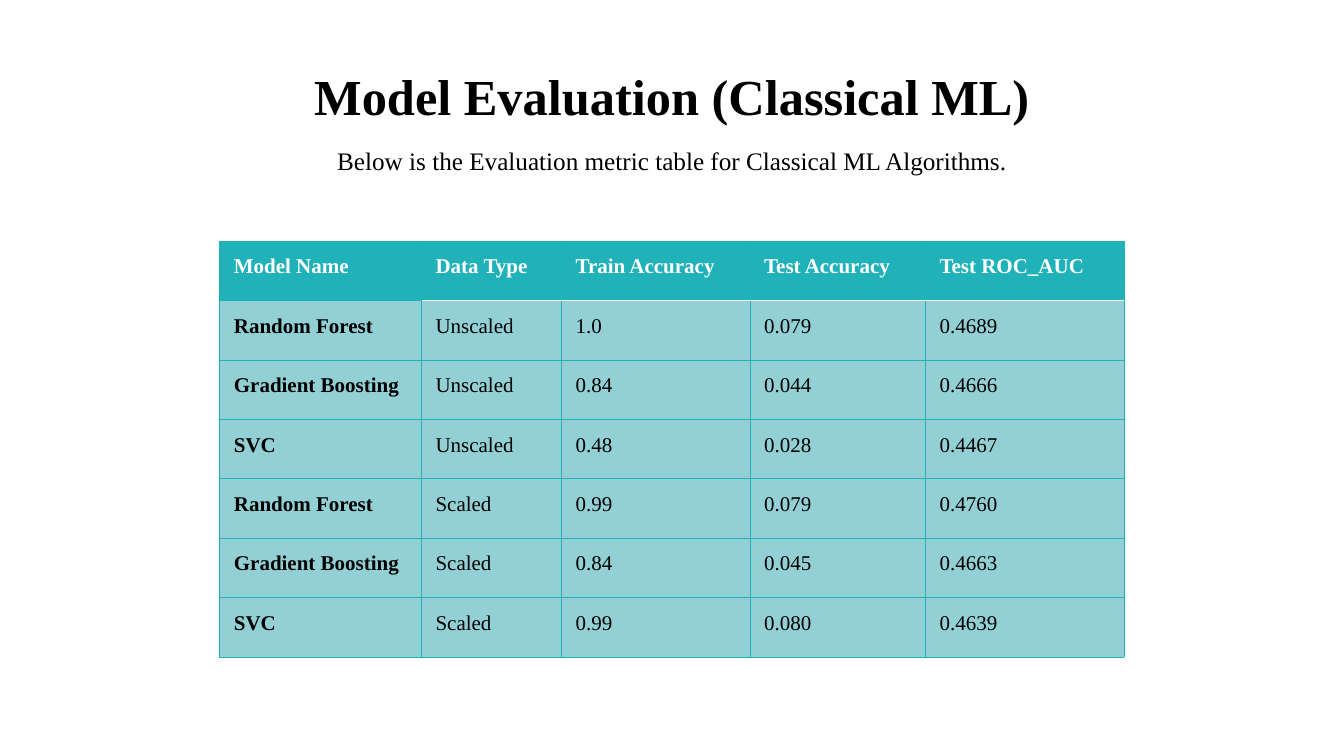
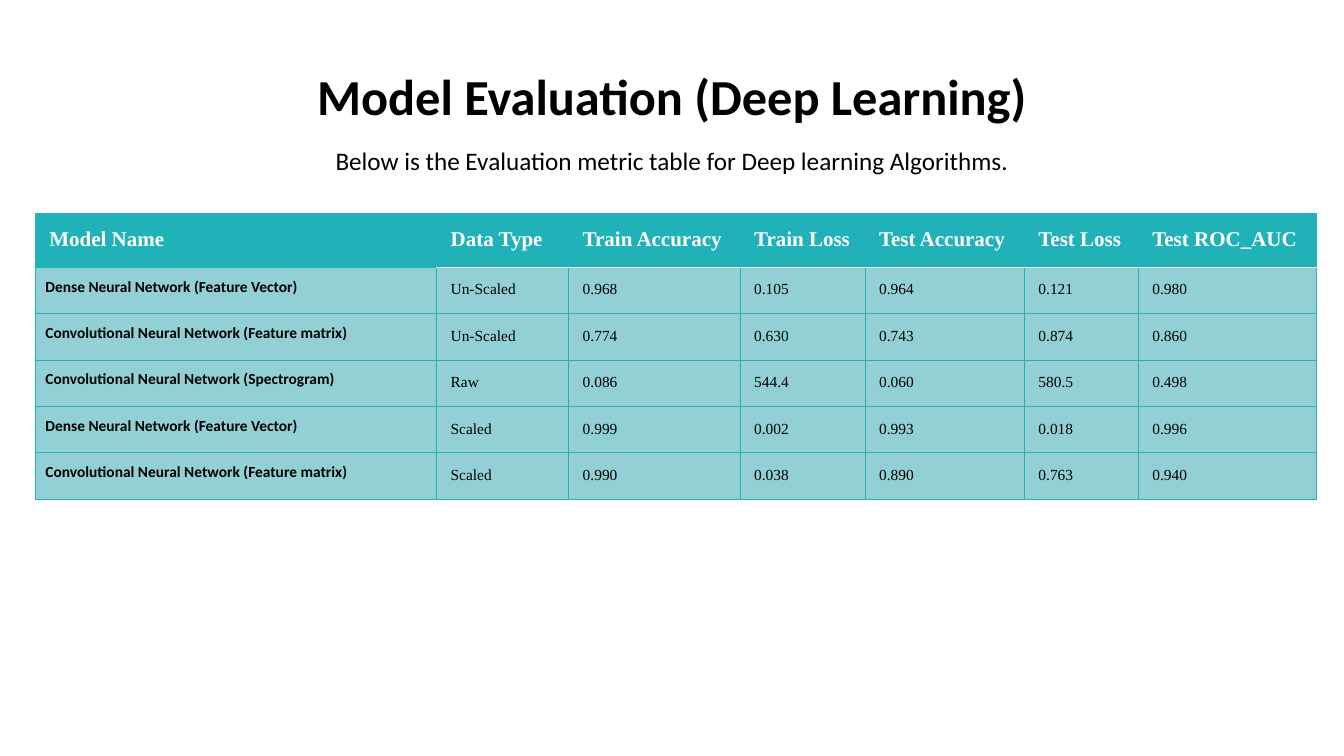
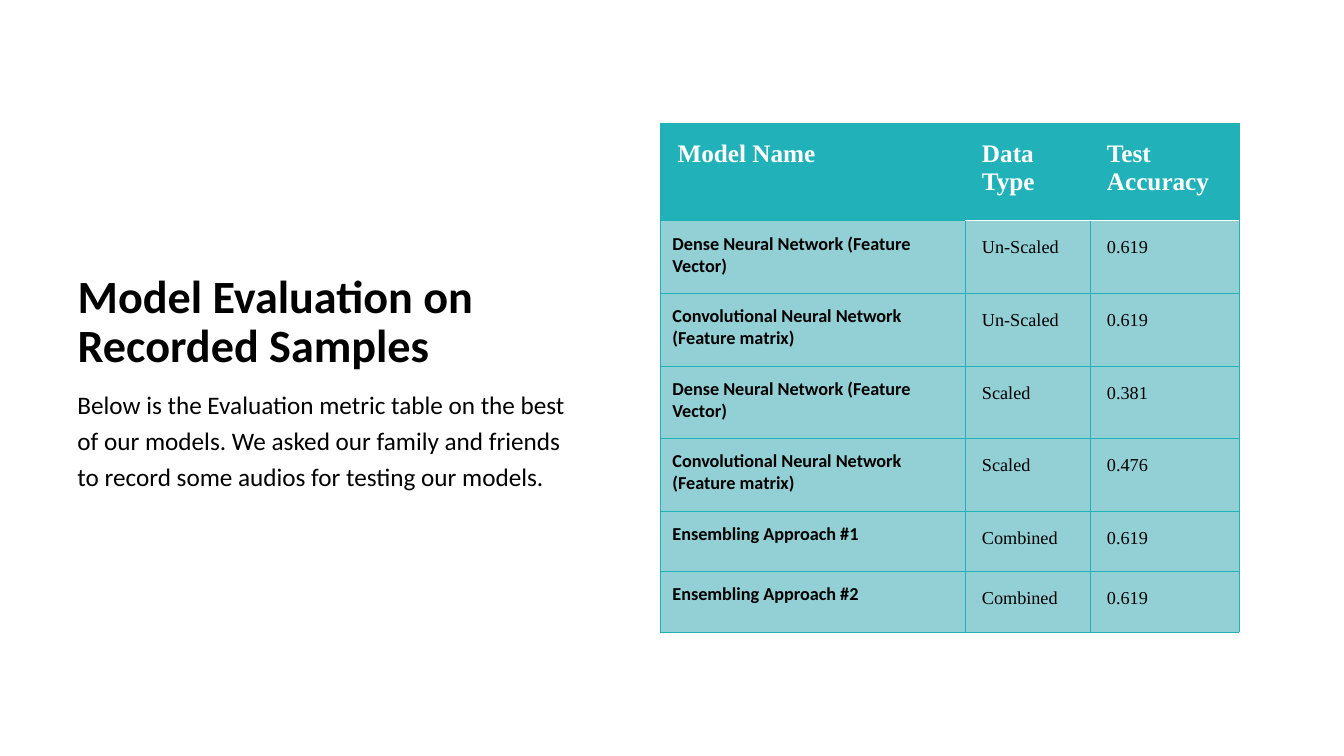
import pptx
import pptx.dml.color
import pptx.enum.text
import pptx.oxml
import pptx.oxml.ns
import pptx.util

PX = 9144  # 100 px to the inch
COLOURS = {"text": "000000", "teal": "21B2B9", "pale": "92D0D5", "white": "FFFFFF"}
SERIF = "Times New Roman"
SANS = "Calibri"
LEFT = pptx.enum.text.PP_ALIGN.LEFT
CENTRE = pptx.enum.text.PP_ALIGN.CENTER
TOP = pptx.enum.text.MSO_ANCHOR.TOP
BOTTOM = pptx.enum.text.MSO_ANCHOR.BOTTOM

DENSE = "Dense Neural Network (Feature Vector)"
CONV_MATRIX = "Convolutional Neural Network (Feature matrix)"
CONV_SPECTROGRAM = "Convolutional Neural Network (Spectrogram)"

CLASSICAL_ROWS = [
    ["Model Name", "Data Type", "Train Accuracy", "Test Accuracy", "Test ROC_AUC"],
    ["Random Forest", "Unscaled", "1.0", "0.079", "0.4689"],
    ["Gradient Boosting", "Unscaled", "0.84", "0.044", "0.4666"],
    ["SVC", "Unscaled", "0.48", "0.028", "0.4467"],
    ["Random Forest", "Scaled", "0.99", "0.079", "0.4760"],
    ["Gradient Boosting", "Scaled", "0.84", "0.045", "0.4663"],
    ["SVC", "Scaled", "0.99", "0.080", "0.4639"],
]
DEEP_ROWS = [
    ["Model Name", "Data Type", "Train Accuracy", "Train Loss",
     "Test Accuracy", "Test Loss", "Test ROC_AUC"],
    [DENSE, "Un-Scaled", "0.968", "0.105", "0.964", "0.121", "0.980"],
    [CONV_MATRIX, "Un-Scaled", "0.774", "0.630", "0.743", "0.874", "0.860"],
    [CONV_SPECTROGRAM, "Raw", "0.086", "544.4", "0.060", "580.5", "0.498"],
    [DENSE, "Scaled", "0.999", "0.002", "0.993", "0.018", "0.996"],
    [CONV_MATRIX, "Scaled", "0.990", "0.038", "0.890", "0.763", "0.940"],
]
RECORDED_ROWS = [
    ["Model Name", "Data Type", "Test Accuracy"],
    [DENSE, "Un-Scaled", "0.619"],
    [CONV_MATRIX, "Un-Scaled", "0.619"],
    [DENSE, "Scaled", "0.381"],
    [CONV_MATRIX, "Scaled", "0.476"],
    ["Ensembling Approach #1", "Combined", "0.619"],
    ["Ensembling Approach #2", "Combined", "0.619"],
]


def rgb(name):
    return pptx.dml.color.RGBColor.from_string(COLOURS[name])


def set_font(paragraph, face, size, bold=False, colour="text"):
    font = paragraph.font
    font.name, font.size, font.bold = face, pptx.util.Pt(size), bold
    font.color.rgb = rgb(colour)


def write(shape, text, face, size, align, spacing, bold=False, anchor=TOP):
    frame = shape.text_frame
    frame.word_wrap = True
    frame.auto_size = pptx.enum.text.MSO_AUTO_SIZE.NONE
    frame.vertical_anchor = anchor
    paragraph = frame.paragraphs[0]
    paragraph.text = text
    paragraph.alignment = align
    paragraph.line_spacing = spacing
    set_font(paragraph, face, size, bold)
    return paragraph


def add_heading_slide(deck, title, intro, face, size, title_box, intro_box, align):
    """Add a slide with a bold title and an introduction below it."""
    slide = deck.slides.add_slide(deck.slide_layouts[5])
    heading = slide.shapes.title
    heading.left, heading.top, heading.width, heading.height = (n * PX for n in title_box)
    write(heading, title, face, size, align, 0.9, bold=True, anchor=BOTTOM)
    introduction = slide.shapes.add_textbox(*(n * PX for n in intro_box))
    write(introduction, intro, face, 18, align, 1.2).space_before = pptx.util.Pt(10)
    return slide


def set_borders(cell, borders):
    """Draw the borders, given as (colour, points) for left, right, top, bottom."""
    properties = cell._tc.get_or_add_tcPr()
    for index, (side, (colour, points)) in enumerate(zip("LRTB", borders)):
        properties.insert(index, pptx.oxml.parse_xml(
            f'<a:ln{side} {pptx.oxml.ns.nsdecls("a")} w="{pptx.util.Pt(points)}">'
            f'<a:solidFill><a:srgbClr val="{COLOURS[colour]}"/></a:solidFill>'
            f'</a:ln{side}>'))


def add_metric_table(slide, left, top, widths, heights, rows, header_size, body_size,
                     inset, name_face=SERIF, name_inset=None, rule=0.5):
    """Add a table whose rule sets off the header row and the model names."""
    table = slide.shapes.add_table(len(rows), len(widths), left * PX, top * PX,
                                   sum(widths) * PX, sum(heights) * PX).table
    table.horz_banding = False
    for column, width in zip(table.columns, widths):
        column.width = width * PX
    for row, height in zip(table.rows, heights):
        row.height = height * PX

    thin = ("teal", 0.5)
    name_rule = ("teal", rule)
    header_rule = ("white", max(rule, 0.75))
    for r, texts in enumerate(rows):
        for c, text in enumerate(texts):
            is_header, is_name = r == 0, r > 0 and c == 0
            cell = table.cell(r, c)
            margin = (name_inset or inset) if is_name else inset
            cell.margin_left = cell.margin_right = margin * PX
            cell.margin_top = cell.margin_bottom = margin * PX
            cell.fill.solid()
            cell.fill.fore_color.rgb = rgb("teal" if is_header else "pale")
            cell.text = text
            set_font(cell.text_frame.paragraphs[0], name_face if is_name else SERIF,
                     header_size if is_header else body_size,
                     is_header or is_name, "white" if is_header else "text")
            set_borders(cell, [
                name_rule if c == 1 and r else thin,
                name_rule if is_name else thin,
                header_rule if r == 1 and c else thin,
                header_rule if is_header and c else thin,
            ])


def main():
    deck = pptx.Presentation()
    deck.slide_width, deck.slide_height = 1333 * PX, 750 * PX
    top_title, top_intro = (189, 55, 955, 75), (189, 133, 955, 46)

    classical = add_heading_slide(
        deck, "Model Evaluation (Classical ML)",
        "Below is the Evaluation metric table for Classical ML Algorithms.",
        SERIF, 36, top_title, top_intro, CENTRE)
    add_metric_table(classical, 218, 239, [200, 139, 187, 174, 197], [59] * 7,
                     CLASSICAL_ROWS, 15, 15, 14, rule=1)

    deep = add_heading_slide(
        deck, "Model Evaluation (Deep Learning)",
        "Below is the Evaluation metric table for Deep learning Algorithms.",
        SANS, 36, top_title, top_intro, CENTRE)
    add_metric_table(deep, 35, 212, [398, 131, 170, 124, 158, 113, 177],
                     [53] + [46] * 5, DEEP_ROWS, 15, 11, 14, SANS, 10)

    recorded = add_heading_slide(
        deck, "Model Evaluation on Recorded Samples",
        "Below is the Evaluation metric table on the best of our models. We asked our "
        "family and friends to record some audios for testing our models.",
        SANS, 33, (67, 249, 505, 126), (67, 375, 505, 171), LEFT)
    add_metric_table(recorded, 655, 122, [302, 124, 148], [97] + [72] * 4 + [60] * 2,
                     RECORDED_ROWS, 18, 13, 17, SANS, 12)

    deck.save("out.pptx")


if __name__ == "__main__":
    main()
